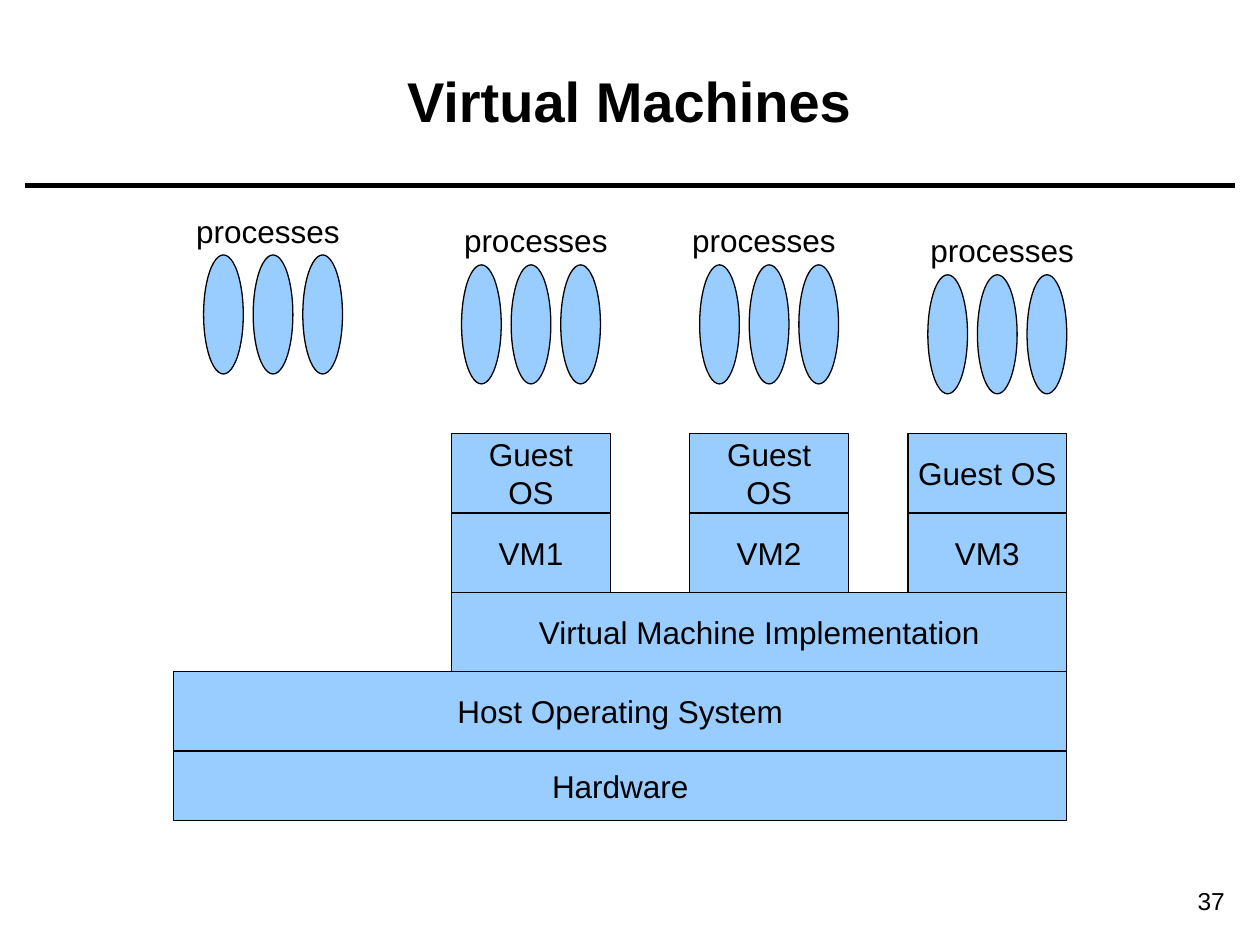
import pptx
import pptx.dml.color
import pptx.enum.shapes
import pptx.enum.text
import pptx.oxml
import pptx.util

Inches = pptx.util.Inches
Pt = pptx.util.Pt
SHAPE = pptx.enum.shapes.MSO_SHAPE
ALIGN = pptx.enum.text.PP_ALIGN
ANCHOR = pptx.enum.text.MSO_ANCHOR

CELL = pptx.util.Cm(0.2)
LEFT, TOP = Inches(1.38), Inches(1.63)
BLACK, BLUE = "000000", "99CCFF"


def grid(col, row, cols, rows):
    return LEFT + col * CELL, TOP + row * CELL, cols * CELL, rows * CELL


def color(target, value):
    target.rgb = pptx.dml.color.RGBColor.from_string(value)


def write(tf, text, size, align, anchor=ANCHOR.TOP, bold=False, wrap=False):
    tf.word_wrap = wrap
    tf.vertical_anchor = anchor
    p = tf.paragraphs[0]
    p.alignment = align
    for i, line in enumerate(text.split("\n")):
        if i:
            p.add_line_break()
        r = p.add_run()
        r.text = line
        r.font.name = "Arial"
        r.font.size = Pt(size)
        r.font.bold = bold
        color(r.font.color, BLACK)


def add_blue(s, kind, box):
    sp = s.shapes.add_shape(kind, *box)
    sp.shadow.inherit = False
    sp.fill.solid()
    color(sp.fill.fore_color, BLUE)
    color(sp.line.color, BLACK)
    sp.line.width = Pt(0.75)
    return sp


def add_block(s, box, text):
    sp = add_blue(s, SHAPE.RECTANGLE, box)
    write(sp.text_frame, text, 18, ALIGN.CENTER, ANCHOR.MIDDLE)


def add_label(s, box, text, size, align, wrap=False):
    sp = s.shapes.add_textbox(*box)
    write(sp.text_frame, text, size, align, wrap=wrap)


def add_header(s, box, text):
    title = s.shapes.title
    title.left, title.top, title.width, title.height = box
    write(title.text_frame, text, 32, ALIGN.CENTER, ANCHOR.MIDDLE, True, True)
    rule = s.shapes.add_connector(
        pptx.enum.shapes.MSO_CONNECTOR.STRAIGHT,
        Inches(0.2), Inches(1.47), Inches(9.8), Inches(1.47))
    color(rule.line.color, BLACK)
    rule.line.width = Pt(3)
    ns = "http://schemas.openxmlformats.org/drawingml/2006/main"
    rule._element.spPr.append(
        pptx.oxml.parse_xml(f'<a:effectLst xmlns:a="{ns}"/>'))


def add_processes(s, col, row, label_col):
    for i in range(3):
        add_blue(s, SHAPE.OVAL, grid(col + 5 * i, row + 5, 4, 12))
    add_label(s, grid(label_col, row, 17, 5), "processes", 18, ALIGN.LEFT)


def add_machine(s, col, row, guest, name):
    add_block(s, grid(col, row, 16, 8), name)
    add_block(s, grid(col, row - 8, 16, 8), guest)


def main():
    prs = pptx.Presentation()
    prs.slide_width, prs.slide_height = Inches(10), Inches(7.5)
    s = prs.slides.add_slide(prs.slide_layouts[5])

    add_header(s, [Inches(v) for v in (0.35, 0.17, 9.29, 1.25)],
               "Virtual Machines")

    add_block(s, grid(0, 55, 90, 7), "Hardware")
    add_block(s, grid(0, 47, 90, 8), "Host Operating System")
    add_block(s, grid(28, 39, 62, 8), "Virtual Machine Implementation")
    for col, guest, name in ((28, "Guest\nOS", "VM1"),
                             (52, "Guest\nOS", "VM2"),
                             (74, "Guest OS", "VM3")):
        add_machine(s, col, 31, guest, name)

    for col, row, label_col in ((3, 0, 1), (29, 1, 28),
                                (53, 1, 51), (76, 2, 75)):
        add_processes(s, col, row, label_col)

    add_label(s, [Inches(v) for v in (8.78, 6.98, 1.04, 0.34)],
              "37", 14, ALIGN.RIGHT, True)
    prs.save("out.pptx")


if __name__ == "__main__":
    main()
